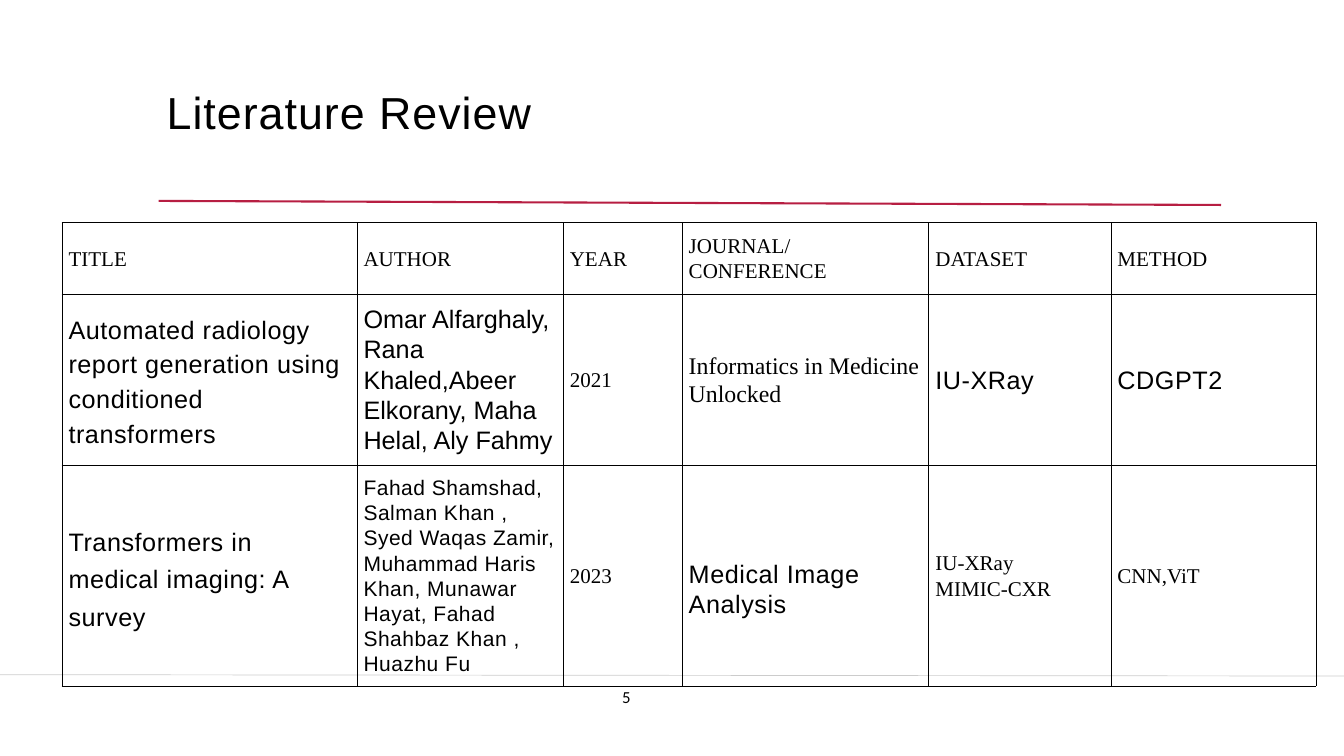
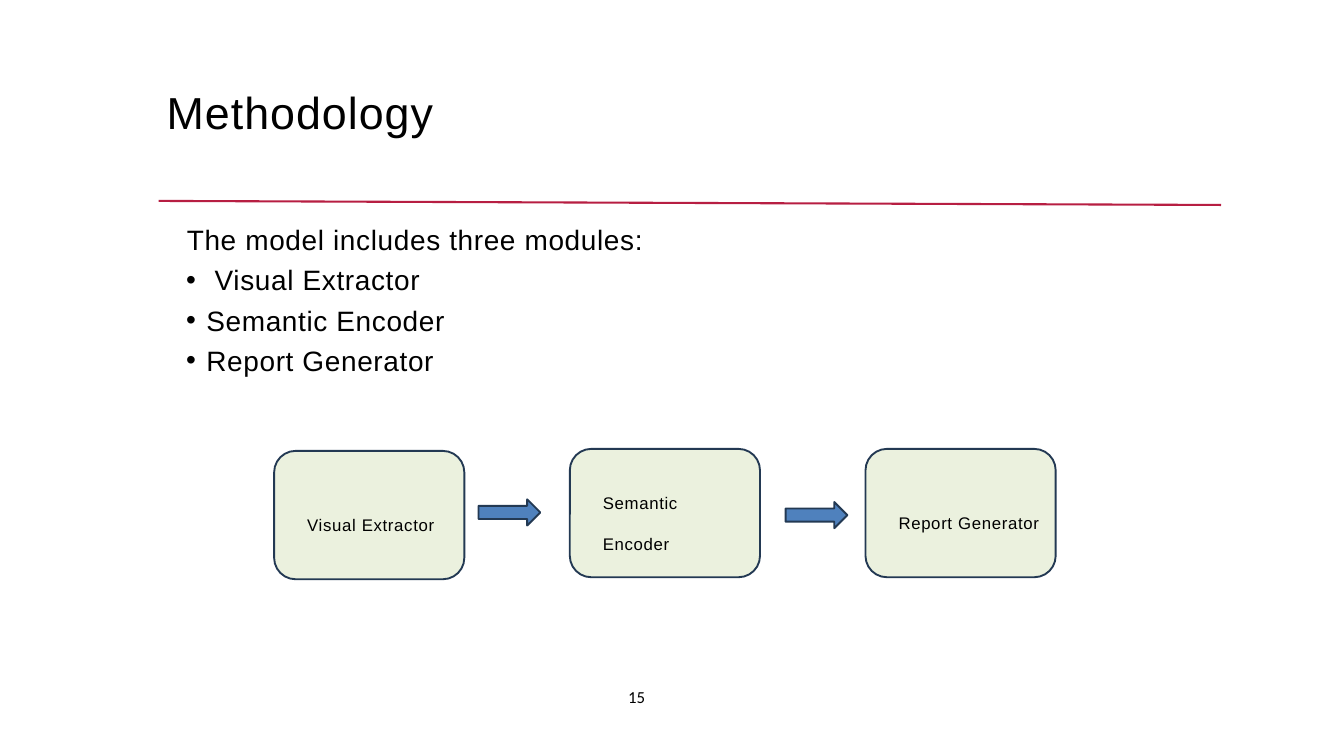
from lxml import etree
from pptx import Presentation
from pptx.dml.color import RGBColor
from pptx.enum import shapes as es, text as et
from pptx.oxml.ns import qn
from pptx.util import Inches, Pt

BLACK = RGBColor(0, 0, 0)
RED = RGBColor(0xB7, 0x1E, 0x42)
NAVY = RGBColor(0x23, 0x39, 0x53)
BLUE = RGBColor(0x4F, 0x81, 0xBD)
GREEN = RGBColor(0xEB, 0xF1, 0xDE)
WHITE = RGBColor(0xFF, 0xFF, 0xFF)

SANS, SERIF = "Arial", "Times New Roman"
TITLE = (SANS, 48, 1.1, 51.8)
BODY = (SANS, 30, 0.7, 43.2)
STEP = (SANS, 18, 0.7, 43.2)
PAGE = ("Calibri", 18, 0, None)
PLAIN = (SERIF, 22.5, 0, 27)
PAPER = (SERIF, 25.5, 0, 30.6)
LARGE = (SANS, 27, 0.6, 32.4)
TIGHT = (SANS, 27, 0, 32.4)
SMALL = (SANS, 22.5, 0.5, 27)
LOOSE = (SANS, 27, 0.6, 37.3)
WIDE = (SANS, 27, 0.6, 40.1)

COLS = (4.39, 3.07, 1.77, 3.67, 2.71, 3.06)
ROWS = (1.06, 2.55, 3.29)
HEADS = ("TITLE", "AUTHOR", "YEAR", "JOURNAL/CONFERENCE", "DATASET", "METHOD")
CELLS = [
    [(head, PLAIN) for head in HEADS],
    [
        ("Automated radiology report generation using conditioned transformers", LOOSE),
        ("Omar Alfarghaly, Rana Khaled,Abeer Elkorany, Maha Helal, Aly Fahmy", TIGHT),
        ("2021", PLAIN),
        ("Informatics in Medicine Unlocked", PAPER),
        ("IU-XRay", LARGE),
        ("CDGPT2", LARGE),
    ],
    [
        ("Transformers in medical imaging: A survey", WIDE),
        ("Fahad Shamshad, Salman Khan , Syed Waqas Zamir, Muhammad Haris Khan, "
         "Munawar Hayat, Fahad Shahbaz Khan , Huazhu Fu", SMALL),
        ("2023", PLAIN),
        ("Medical Image Analysis", LARGE),
        ("IU-XRay\nMIMIC-CXR", PLAIN),
        ("CNN,ViT", PLAIN),
    ],
]
LOWER = (2, 3)

INTRO = "The model includes three modules:"
PARTS = (" Visual Extractor", "Semantic Encoder", "Report Generator")
BOX_TOPS = (6.71, 6.68, 6.68)
BOX_LEFT, BOX_STEP = 4.08, 4.4
ARROWS = ((7.12, 7.43), (11.69, 7.47))


def write(frame, lines, style, indents=()):
    font, size, gap, lead = style
    frame.word_wrap = True
    for i, line in enumerate(lines):
        para = frame.paragraphs[0] if i == 0 else frame.add_paragraph()
        para.alignment = et.PP_ALIGN.LEFT
        if lead:
            para.line_spacing = Pt(lead)
        if indents:
            left, hang = indents[i]
            props = para._p.get_or_add_pPr()
            props.set("marL", str(Inches(left)))
            props.set("indent", str(Inches(hang)))
            if hang:
                etree.SubElement(props, qn("a:buFont"), typeface=SANS)
                etree.SubElement(props, qn("a:buChar"), char="•")
        run = para.add_run()
        run.text = line
        run.font.name, run.font.size = font, Pt(size)
        run.font.color.rgb = BLACK
        run._r.get_or_add_rPr().set("spc", str(round(gap * 100)))


def add_text(slide, spot, lines, style, pad=0, indents=()):
    frame = slide.shapes.add_textbox(*map(Inches, spot)).text_frame
    frame.margin_left = frame.margin_right = Inches(pad)
    frame.margin_top = frame.margin_bottom = Inches(pad / 2)
    write(frame, lines, style, indents)


def add_line(slide, ends, color, width, alpha=None):
    line = slide.shapes.add_connector(es.MSO_CONNECTOR.STRAIGHT, *map(Inches, ends))
    line.line.color.rgb, line.line.width = color, Pt(width)
    props = line._element.spPr
    if alpha:
        tint = props.find(".//" + qn("a:srgbClr"))
        etree.SubElement(tint, qn("a:alpha"), val=str(alpha * 1000))
    etree.SubElement(props, qn("a:effectLst"))


def add_form(slide, kind, spot, color):
    form = slide.shapes.add_shape(kind, *map(Inches, spot))
    form.shadow.inherit = False
    form.fill.solid()
    form.fill.fore_color.rgb = color
    form.line.color.rgb, form.line.width = NAVY, Pt(2)
    return form


def add_edges(cell):
    props = cell._tc.get_or_add_tcPr()
    for side in ("lnL", "lnR", "lnT", "lnB"):
        edge = etree.SubElement(props, qn("a:" + side), w=str(Pt(0.37)))
        fill = etree.SubElement(edge, qn("a:solidFill"))
        etree.SubElement(fill, qn("a:srgbClr"), val=str(BLACK))


def add_grid(slide):
    spot = (0.92, 3.31, sum(COLS), sum(ROWS))
    grid = slide.shapes.add_table(len(ROWS), len(COLS), *map(Inches, spot)).table
    grid.first_row = grid.horz_banding = False
    for col, width in zip(grid.columns, COLS):
        col.width = Inches(width)
    for row, height in zip(grid.rows, ROWS):
        row.height = Inches(height)
    for r, line in enumerate(CELLS):
        for c, (words, style) in enumerate(line):
            cell = grid.cell(r, c)
            cell.vertical_anchor = et.MSO_ANCHOR.MIDDLE
            cell.margin_left = cell.margin_right = cell.margin_bottom = Inches(0.1)
            cell.margin_top = Inches(0.5 if (r, c) == LOWER else 0.1)
            add_edges(cell)
            cell.fill.background()
            write(cell.text_frame, words.split("\n"), style)


def add_flow(slide):
    for i, (part, top) in enumerate(zip(PARTS, BOX_TOPS)):
        spot = (BOX_LEFT + i * BOX_STEP, top, 2.83, 1.91)
        box = add_form(slide, es.MSO_SHAPE.ROUNDED_RECTANGLE, spot, GREEN)
        box.text_frame.vertical_anchor = et.MSO_ANCHOR.MIDDLE
        write(box.text_frame, [part.strip()], STEP, [(0.3, 0)])
    for left, top in ARROWS:
        add_form(slide, es.MSO_SHAPE.RIGHT_ARROW, (left, top, 0.92, 0.39), BLUE)


def add_slide(deck, title, page, left):
    slide = deck.slides.add_slide(deck.slide_layouts[6])
    slide.background.fill.solid()
    slide.background.fill.fore_color.rgb = WHITE
    add_line(slide, (2.36, 2.99, 18.17, 3.05), RED, 2.25)
    add_text(slide, (2.48, 1.34, 15.55, 0.73), [title], TITLE)
    add_text(slide, (left, 10.17, 1.25, 0.4), [page], PAGE, 0.1)
    return slide


def main():
    deck = Presentation()
    deck.slide_width, deck.slide_height = Inches(20), Inches(11.25)

    review = add_slide(deck, "Literature Review", "5", 9.16)
    add_line(review, (-0.01, 10.04, 20.01, 10.06), BLACK, 0.75, 20)
    add_grid(review)

    method = add_slide(deck, "Methodology", "15", 9.25)
    indents = [(0.3, 0)] + [(0.59, -0.3)] * len(PARTS)
    add_text(method, (2.48, 3.21, 15.55, 2.38), [INTRO, *PARTS], BODY, 0, indents)
    add_flow(method)

    deck.save("out.pptx")


if __name__ == "__main__":
    main()
